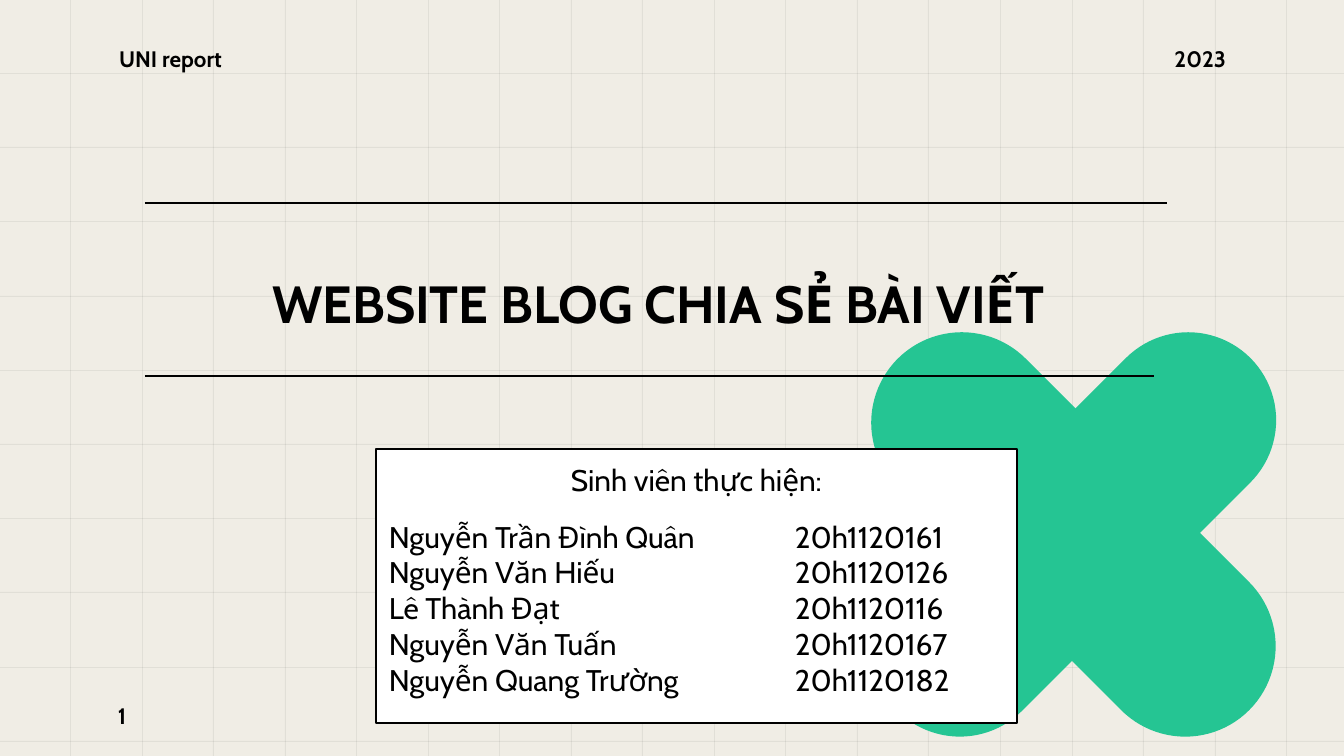
from pptx import Presentation
from pptx.dml.color import RGBColor
from pptx.enum.shapes import MSO_CONNECTOR, MSO_SHAPE
from pptx.enum.text import MSO_ANCHOR, PP_ALIGN
from pptx.oxml.ns import qn
from pptx.util import Emu, Pt
from lxml import etree

RECTANGLE = MSO_SHAPE.RECTANGLE
ROUNDED = MSO_SHAPE.ROUNDED_RECTANGLE
STRAIGHT = MSO_CONNECTOR.STRAIGHT
TOP, MIDDLE, BOTTOM = MSO_ANCHOR.TOP, MSO_ANCHOR.MIDDLE, MSO_ANCHOR.BOTTOM
LEFT, CENTER, RIGHT = PP_ALIGN.LEFT, PP_ALIGN.CENTER, PP_ALIGN.RIGHT

BLACK = RGBColor(0x00, 0x00, 0x00)
WHITE = RGBColor(0xFF, 0xFF, 0xFF)
CREAM = RGBColor(0xF0, 0xED, 0xE5)
GREEN = RGBColor(0x25, 0xC5, 0x93)

FONT = "Cabin"
EMU_PER_PX = 914400 / 134.4
WIDTH, HEIGHT = 1344, 756
INSET = 13
CODE_TAB = 406

STUDENTS = [
    ("Nguyễn Trần Đình Quân", "20h1120161"),
    ("Nguyễn Văn Hiếu", "20h1120126"),
    ("Lê Thành Đạt", "20h1120116"),
    ("Nguyễn Văn Tuấn", "20h1120167"),
    ("Nguyễn Quang Trường", "20h1120182"),
]


def px(length):
    """Turn a length in px into EMU."""
    return Emu(round(length * EMU_PER_PX))


class SlideBuilder:
    """Hold the style and the current slide, and add elements to it."""

    def __init__(self, slide):
        """Take the slide and paint its background."""
        self.slide = slide
        slide.background.fill.solid()
        slide.background.fill.fore_color.rgb = CREAM

    def add_box(self, kind, box, color, outline=None, rotation=0, alpha=None):
        """Add a filled preset shape."""
        shape = self.slide.shapes.add_shape(kind, *map(px, box))
        shape.shadow.inherit = False
        shape.rotation = rotation
        shape.fill.solid()
        shape.fill.fore_color.rgb = color
        if outline is None:
            shape.line.fill.background()
        else:
            shape.line.color.rgb = outline
            shape.line.width = Pt(0.75)
        if alpha is not None:
            color_element = shape._element.spPr.find(qn("a:solidFill"))[0]
            etree.SubElement(color_element, qn("a:alpha"), val=str(alpha * 1000))
        return shape

    def add_pill(self, box):
        """Add a green bar with fully rounded ends, turned by 45 degrees."""
        self.add_box(ROUNDED, box, GREEN, rotation=45).adjustments[0] = 0.5

    def add_rule(self, left, right, y):
        """Add a thin horizontal line."""
        line = self.slide.shapes.add_connector(STRAIGHT, px(left), px(y), px(right), px(y))
        line.line.color.rgb = BLACK
        line.line.width = Pt(0.75)
        etree.SubElement(line._element.spPr, qn("a:effectLst"))

    def prepare_frame(self, shape, anchor):
        """Set wrapping, anchor and insets of a text frame."""
        frame = shape.text_frame
        frame.word_wrap = True
        frame.vertical_anchor = anchor
        frame.margin_left = frame.margin_right = px(INSET)
        frame.margin_top = frame.margin_bottom = px(INSET)
        return frame

    def add_run(self, paragraph, text, size, bold=False):
        """Add one styled run."""
        run = paragraph.add_run()
        run.text = text
        run.font.name = FONT
        run.font.size = Pt(size)
        run.font.bold = bold
        run.font.color.rgb = BLACK

    def add_label(self, box, text, size=12, align=LEFT, anchor=TOP, spacing=1.0):
        """Add a bold one-line text box."""
        frame = self.prepare_frame(self.slide.shapes.add_textbox(*map(px, box)), anchor)
        paragraph = frame.paragraphs[0]
        paragraph.alignment = align
        paragraph.line_spacing = spacing
        self.add_run(paragraph, text, size, bold=True)

    def add_student_card(self, box, heading, students):
        """Add the framed list of students with their codes on a tab stop."""
        frame = self.prepare_frame(self.add_box(RECTANGLE, box, WHITE, outline=BLACK), TOP)
        title = frame.paragraphs[0]
        title.alignment = CENTER
        title.space_after = Pt(11)
        self.add_run(title, heading, 16)
        for name, code in students:
            paragraph = frame.add_paragraph()
            paragraph.alignment = LEFT
            tabs = etree.SubElement(paragraph._p.get_or_add_pPr(), qn("a:tabLst"))
            etree.SubElement(tabs, qn("a:tab"), pos=str(px(CODE_TAB)), algn="l")
            self.add_run(paragraph, f"{name}\t{code}", 16)

    def add_grid(self):
        """Add the faint background grid."""
        for column in range(18):
            box = (round(70 + 71.54 * column), -7, 1, 770)
            self.add_box(RECTANGLE, box, BLACK, alpha=6)
        for row in range(10):
            box = (-13, round(73 + 74.2 * row), 1371, 1)
            self.add_box(RECTANGLE, box, BLACK, alpha=6)


def main():
    """Build and save the title slide."""
    presentation = Presentation()
    presentation.slide_width, presentation.slide_height = px(WIDTH), px(HEIGHT)
    builder = SlideBuilder(presentation.slides.add_slide(presentation.slide_layouts[6]))
    builder.add_grid()
    builder.add_pill((986, 285, 176, 499))
    builder.add_pill((825, 444, 497, 181))
    builder.add_label((125, 149, 1078, 199), "WEBSITE BLOG CHIA SẺ BÀI VIẾT ",
                      size=28, align=CENTER, anchor=BOTTOM, spacing=0.9)
    builder.add_student_card((376, 449, 641, 274), "Sinh viên thực hiện:", STUDENTS)
    builder.add_rule(145, 1167, 203)
    builder.add_rule(145, 1154, 376)
    builder.add_label((106, 32, 310, 46), "UNI report")
    builder.add_label((929, 32, 310, 46), "2023", align=RIGHT)
    builder.add_label((105, 687, 81, 58), "1", anchor=MIDDLE)
    presentation.save("out.pptx")


if __name__ == "__main__":
    main()
